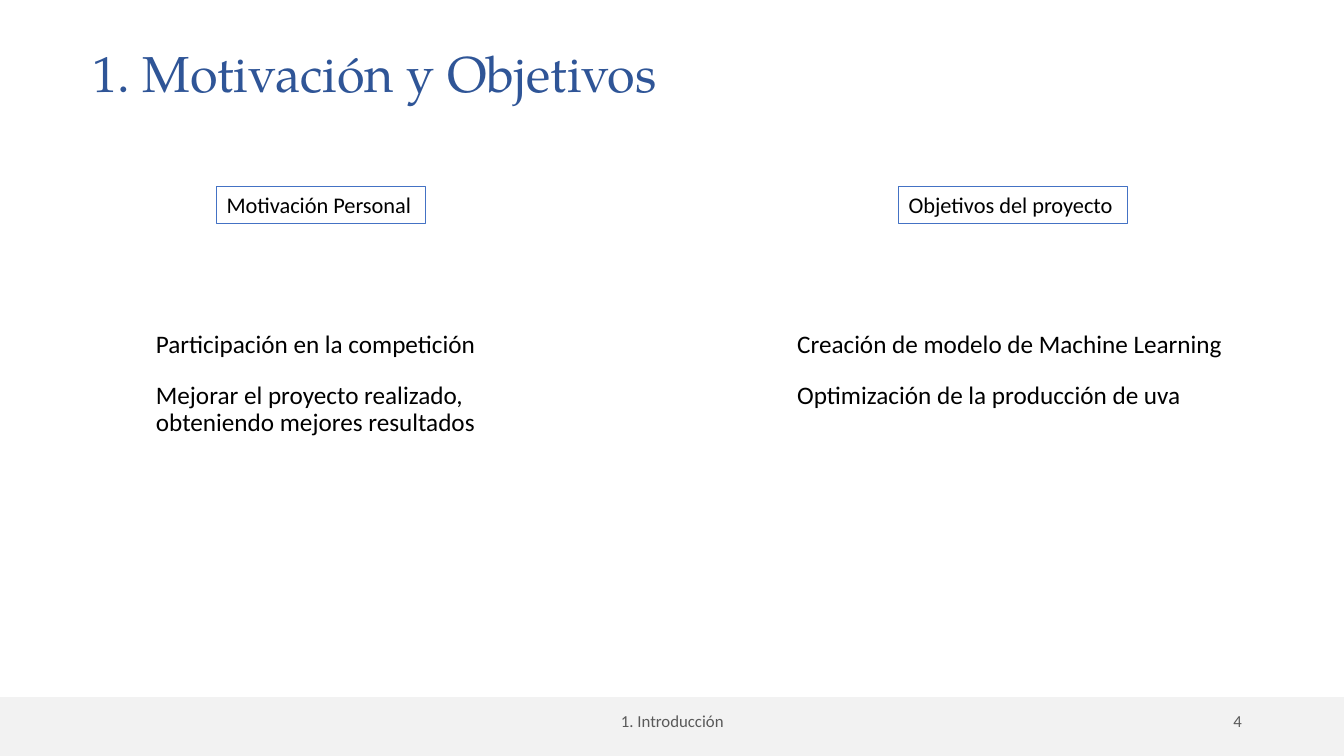
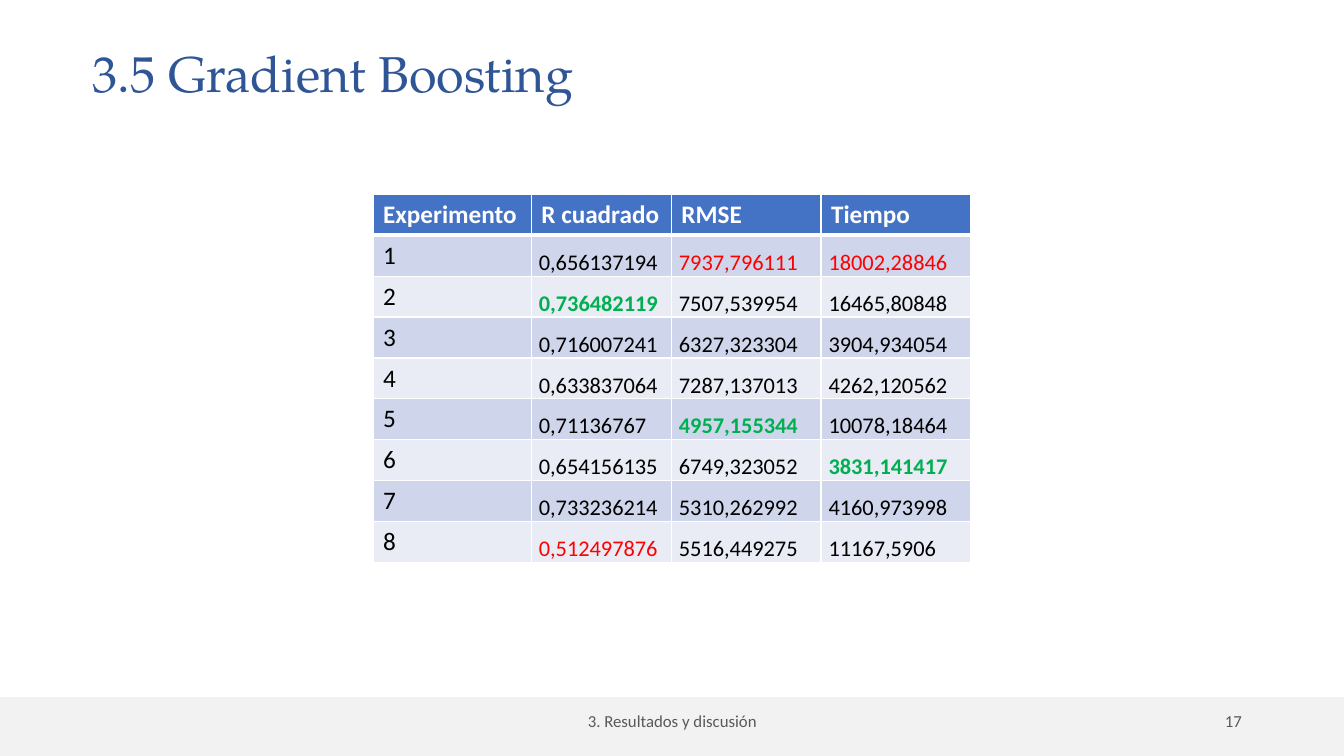
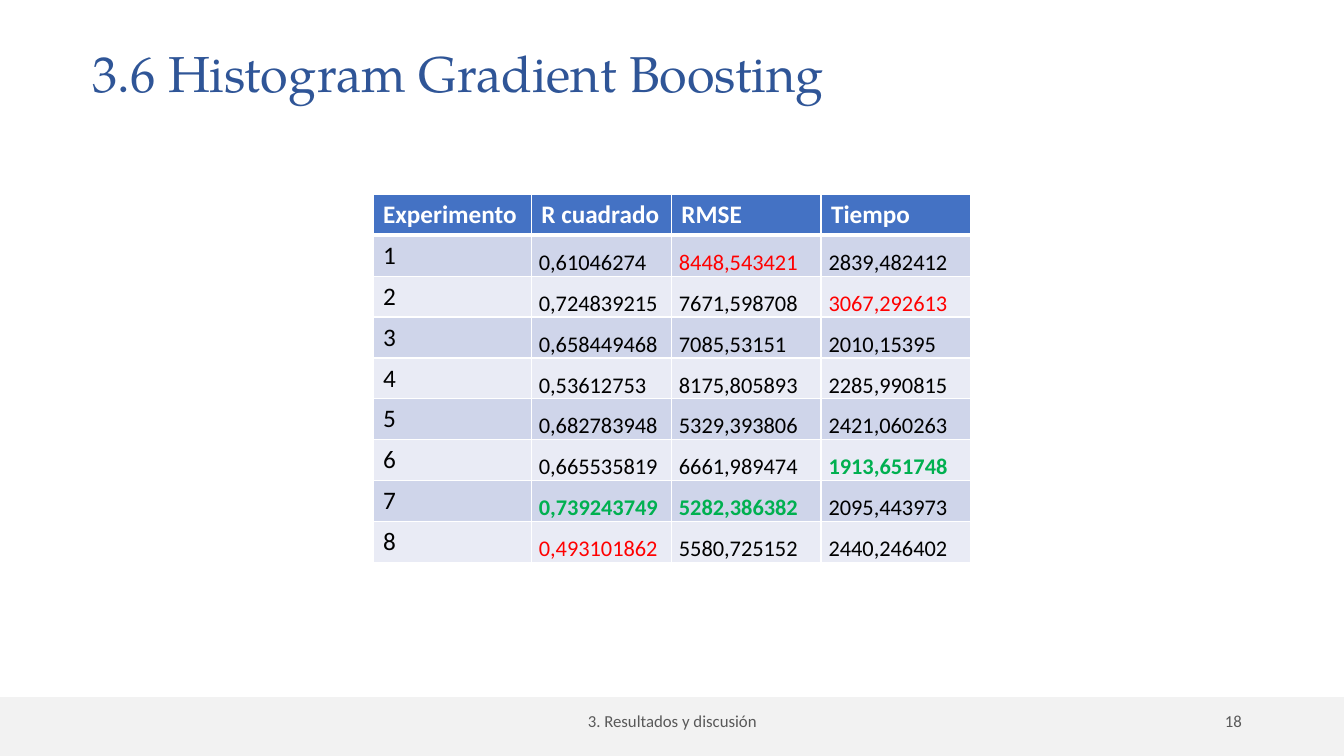
from dataclasses import dataclass

from lxml.etree import SubElement
from pptx import Presentation
from pptx.dml.color import RGBColor
from pptx.enum.shapes import MSO_SHAPE
from pptx.enum.text import MSO_ANCHOR, PP_ALIGN
from pptx.oxml.ns import qn
from pptx.slide import Slide
from pptx.table import _Cell
from pptx.text.text import TextFrame
from pptx.util import Cm, Pt

WHITE = RGBColor(0xFF, 0xFF, 0xFF)
BLACK = RGBColor(0x00, 0x00, 0x00)
TITLE_BLUE = RGBColor(0x2F, 0x55, 0x97)
ACCENT_BLUE = RGBColor(0x44, 0x72, 0xC4)
FOOTER_BAND = RGBColor(0xF2, 0xF2, 0xF2)
FOOTER_TEXT = RGBColor(0x59, 0x59, 0x59)
ROW_FILLS = (RGBColor(0xCF, 0xD5, 0xEA), RGBColor(0xE9, 0xEB, 0xF5))
BEST_GREEN = RGBColor(0x00, 0xB0, 0x50)
WORST_RED = RGBColor(0xFF, 0x00, 0x00)

BODY_FONT = "Calibri"
TITLE_FONT = "TeX Gyre Pagella"

SLIDE_WIDTH, SLIDE_HEIGHT = 33.87, 19.05
BAND_TOP = 17.58
HEADERS = ("Experimento", "R cuadrado", "RMSE", "Tiempo")
COLUMN_WIDTHS = (3.99, 3.53, 3.77, 3.77)
ROW_HEIGHT = 1.03


@dataclass(frozen=True)
class Box:
    left: float
    top: float
    width: float
    height: float

    def lengths(self) -> tuple[Cm, Cm, Cm, Cm]:
        return Cm(self.left), Cm(self.top), Cm(self.width), Cm(self.height)


@dataclass(frozen=True)
class Topic:
    heading: str
    heading_box: Box
    left: float
    width: float
    points: tuple[str, str]


@dataclass(frozen=True)
class Results:
    title: str
    page: int
    r_squared: tuple[str, ...]
    rmse: tuple[str, ...]
    time: tuple[str, ...]


TITLE_BOX = Box(2.08, 0.94, 30, 1.78)
BAND_BOX = Box(0, BAND_TOP, SLIDE_WIDTH, SLIDE_HEIGHT - BAND_TOP)
SECTION_BOX = Box(11.23, 17.65, 11.43, 1.02)
PAGE_BOX = Box(23.93, 17.65, 7.62, 1.02)
TABLE_BOX = Box(9.4, 4.9, sum(COLUMN_WIDTHS), 9 * ROW_HEIGHT)
POINT_TOPS = (8.23, 9.52)

TOPICS = (
    Topic("Motivación Personal", Box(5.46, 4.7, 5.26, 0.94), 3.68, 8.81,
          ("Participación en la competición",
           "Mejorar el proyecto realizado, obteniendo mejores resultados")),
    Topic("Objetivos del proyecto", Box(22.65, 4.7, 5.77, 0.94), 19.84, 11.38,
          ("Creación de modelo de Machine Learning",
           "Optimización de la producción de uva")),
)

EXPERIMENTS = (
    Results(
        "3.5 Gradient Boosting", 17,
        ("0,656137194", "0,736482119", "0,716007241", "0,633837064",
         "0,71136767", "0,654156135", "0,733236214", "0,512497876"),
        ("7937,796111", "7507,539954", "6327,323304", "7287,137013",
         "4957,155344", "6749,323052", "5310,262992", "5516,449275"),
        ("18002,28846", "16465,80848", "3904,934054", "4262,120562",
         "10078,18464", "3831,141417", "4160,973998", "11167,5906"),
    ),
    Results(
        "3.6 Histogram Gradient Boosting", 18,
        ("0,61046274", "0,724839215", "0,658449468", "0,53612753",
         "0,682783948", "0,665535819", "0,739243749", "0,493101862"),
        ("8448,543421", "7671,598708", "7085,53151", "8175,805893",
         "5329,393806", "6661,989474", "5282,386382", "5580,725152"),
        ("2839,482412", "3067,292613", "2010,15395", "2285,990815",
         "2421,060263", "1913,651748", "2095,443973", "2440,246402"),
    ),
)


def write(frame: TextFrame, text: str, *, size: float = 18, color: RGBColor = BLACK,
          font: str = BODY_FONT, bold: bool = False, align: PP_ALIGN = PP_ALIGN.LEFT,
          spacing: float = 1.0, anchor: MSO_ANCHOR = MSO_ANCHOR.TOP) -> None:
    frame.word_wrap = True
    frame.vertical_anchor = anchor
    paragraph = frame.paragraphs[0]
    paragraph.alignment = align
    paragraph.line_spacing = spacing
    run = paragraph.add_run()
    run.text = text
    run.font.name = font
    run.font.size = Pt(size)
    run.font.bold = bold
    run.font.color.rgb = color


def add_text(slide: Slide, box: Box, text: str, **text_format) -> None:
    write(slide.shapes.add_textbox(*box.lengths()).text_frame, text, **text_format)


def add_rectangle(slide: Slide, box: Box, fill: RGBColor, line: RGBColor) -> TextFrame:
    rectangle = slide.shapes.add_shape(MSO_SHAPE.RECTANGLE, *box.lengths())
    rectangle.shadow.inherit = False
    rectangle.fill.solid()
    rectangle.fill.fore_color.rgb = fill
    rectangle.line.color.rgb = line
    rectangle.line.width = Pt(1)
    return rectangle.text_frame


def add_page(deck: Presentation, title: str, section: str, page: int) -> Slide:
    slide = deck.slides.add_slide(deck.slide_layouts[6])
    add_text(slide, TITLE_BOX, title, size=36, color=TITLE_BLUE, font=TITLE_FONT,
             spacing=0.9, anchor=MSO_ANCHOR.BOTTOM)
    add_rectangle(slide, BAND_BOX, FOOTER_BAND, FOOTER_BAND)
    for box, text, align in ((SECTION_BOX, section, PP_ALIGN.CENTER),
                             (PAGE_BOX, str(page), PP_ALIGN.RIGHT)):
        add_text(slide, box, text, size=12, color=FOOTER_TEXT, align=align,
                 anchor=MSO_ANCHOR.MIDDLE)
    return slide


def add_topic(slide: Slide, topic: Topic) -> None:
    write(add_rectangle(slide, topic.heading_box, WHITE, ACCENT_BLUE),
          topic.heading, size=16)
    for top, point in zip(POINT_TOPS, topic.points):
        add_text(slide, Box(topic.left, top, topic.width, 1.5), point, spacing=0.9)


def paint_cell(cell: _Cell, fill: RGBColor, top: float, bottom: float) -> None:
    properties = cell._tc.get_or_add_tcPr()
    for side, points in (("L", 1), ("R", 1), ("T", top), ("B", bottom)):
        border = SubElement(properties, qn(f"a:ln{side}"), w=str(Pt(points)))
        SubElement(SubElement(border, qn("a:solidFill")), qn("a:srgbClr"), val=str(WHITE))
    cell.fill.solid()
    cell.fill.fore_color.rgb = fill


def write_value(cell: _Cell, text: str, color: RGBColor) -> None:
    cell.margin_left = cell.margin_right = Cm(0.19)
    cell.margin_top = cell.margin_bottom = Cm(0)
    write(cell.text_frame, text, size=16, color=color, bold=color == BEST_GREEN,
          align=PP_ALIGN.JUSTIFY, spacing=1.5)


def as_number(text: str) -> float:
    return float(text.replace(",", "."))


def add_results(slide: Slide, results: Results) -> None:
    row_count = len(results.rmse) + 1
    table = slide.shapes.add_table(row_count, len(HEADERS), *TABLE_BOX.lengths()).table
    for column, width in zip(table.columns, COLUMN_WIDTHS):
        column.width = Cm(width)
    for row in table.rows:
        row.height = Cm(ROW_HEIGHT)
    for column, header in enumerate(HEADERS):
        cell = table.cell(0, column)
        paint_cell(cell, ACCENT_BLUE, 1, 3)
        write(cell.text_frame, header, color=WHITE, bold=True)
        for row in range(1, row_count):
            paint_cell(table.cell(row, column), ROW_FILLS[(row - 1) % 2],
                       3 if row == 1 else 1, 1)
    for row in range(1, row_count):
        write(table.cell(row, 0).text_frame, str(row))
    metrics = ((results.r_squared, max, min), (results.rmse, min, max),
               (results.time, min, max))
    for column, (values, best, worst) in enumerate(metrics, start=1):
        highlights = {worst(values, key=as_number): WORST_RED,
                      best(values, key=as_number): BEST_GREEN}
        for row, value in enumerate(values, start=1):
            write_value(table.cell(row, column), value, highlights.get(value, BLACK))


def main() -> None:
    deck = Presentation()
    deck.slide_width, deck.slide_height = Cm(SLIDE_WIDTH), Cm(SLIDE_HEIGHT)
    motivation = add_page(deck, "1. Motivación y Objetivos", "1. Introducción", 4)
    for topic in TOPICS:
        add_topic(motivation, topic)
    for results in EXPERIMENTS:
        slide = add_page(deck, results.title, "3. Resultados y discusión", results.page)
        add_results(slide, results)
    deck.save("out.pptx")


if __name__ == "__main__":
    main()
